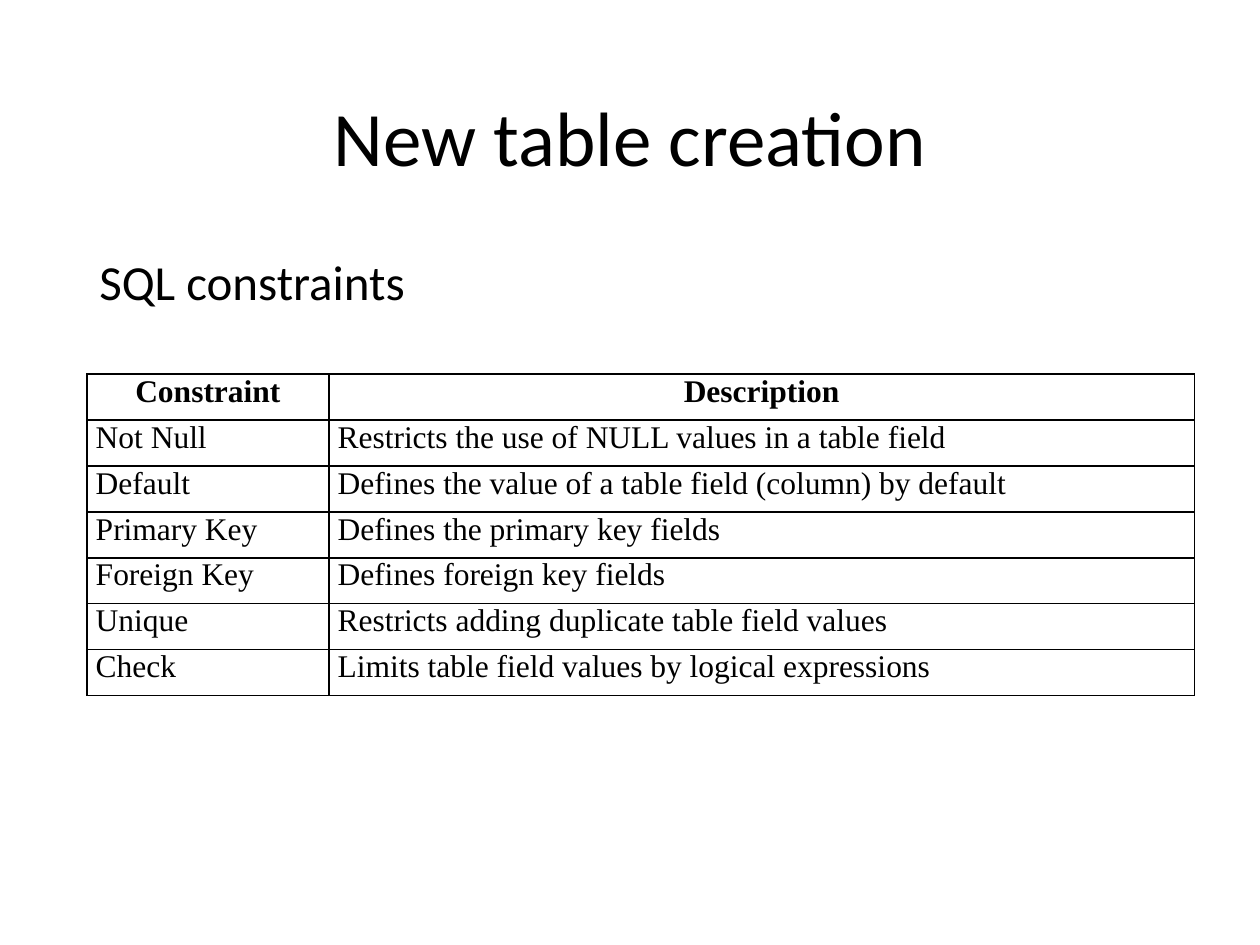
import pptx
import pptx.util
import pptx.dml.color
import pptx.enum.text
import pptx.oxml
import pptx.oxml.ns
from pptx.util import Inches

ALIGN = pptx.enum.text.PP_ALIGN
ANCHOR = pptx.enum.text.MSO_ANCHOR
BLACK = "000000"

CONSTRAINTS = [
    ("Constraint", "Description"),
    ("Not Null", "Restricts the use of NULL values in a table field"),
    ("Default", "Defines the value of a table field (column) by default"),
    ("Primary Key", "Defines the primary key fields"),
    ("Foreign Key", "Defines foreign key fields"),
    ("Unique", "Restricts adding duplicate table field values"),
    ("Check", "Limits table field values by logical expressions"),
]


def color(hex_string):
    return pptx.dml.color.RGBColor.from_string(hex_string)


def write(tf, text, size=18, font="Calibri", bold=False, align=ALIGN.LEFT,
          spacing=None):
    p = tf.paragraphs[0]
    p.alignment = align
    if spacing:
        p.line_spacing = spacing
    r = p.add_run()
    r.text = text
    r.font.size = pptx.util.Pt(size)
    r.font.name = font
    r.font.bold = bold
    r.font.color.rgb = color(BLACK)


def add_text(s, box, text, anchor=ANCHOR.TOP, **fmt):
    tf = s.shapes.add_textbox(*box).text_frame
    tf.word_wrap = True
    tf.vertical_anchor = anchor
    write(tf, text, spacing=0.9, **fmt)


def set_borders(cell, hex_string, width):
    tcPr = cell._tc.get_or_add_tcPr()
    for i, side in enumerate(("lnL", "lnR", "lnT", "lnB")):
        ln = pptx.oxml.parse_xml(
            f'<a:{side} {pptx.oxml.ns.nsdecls("a")} w="{pptx.util.Pt(width)}">'
            f'<a:solidFill><a:srgbClr val="{hex_string}"/></a:solidFill>'
            f'</a:{side}>')
        tcPr.insert(i, ln)


def add_constraint_table(s, box, rows, first_width):
    left, top, width, height = box
    table = s.shapes.add_table(len(rows), 2, *box).table
    table.horz_banding = False
    table.columns[0].width = first_width
    table.columns[1].width = width - first_width
    for i, texts in enumerate(rows):
        header = i == 0
        table.rows[i].height = height // len(rows)
        for j, text in enumerate(texts):
            cell = table.cell(i, j)
            cell.margin_left = cell.margin_right = Inches(0.07)
            cell.margin_top = cell.margin_bottom = 0
            cell.fill.background()
            set_borders(cell, BLACK, 1)
            write(cell.text_frame, text, font="Times New Roman", bold=header,
                  align=ALIGN.CENTER if header else ALIGN.JUSTIFY)


def main():
    prs = pptx.Presentation()
    prs.slide_width, prs.slide_height = Inches(10), Inches(7.5)
    s = prs.slides.add_slide(prs.slide_layouts[6])
    left, width = Inches(0.69), Inches(8.62)

    # Title and subtitle
    add_text(s, (left, Inches(0.4), width, Inches(1.45)), "New table creation",
             anchor=ANCHOR.MIDDLE, size=44, align=ALIGN.CENTER)
    add_text(s, (left, Inches(2), width, Inches(0.82)), "SQL constraints",
             size=28)

    # Table of constraints
    add_constraint_table(s, (left, Inches(2.97), Inches(8.79), Inches(2.55)),
                         CONSTRAINTS, first_width=Inches(1.92))
    prs.save("out.pptx")


if __name__ == "__main__":
    main()
